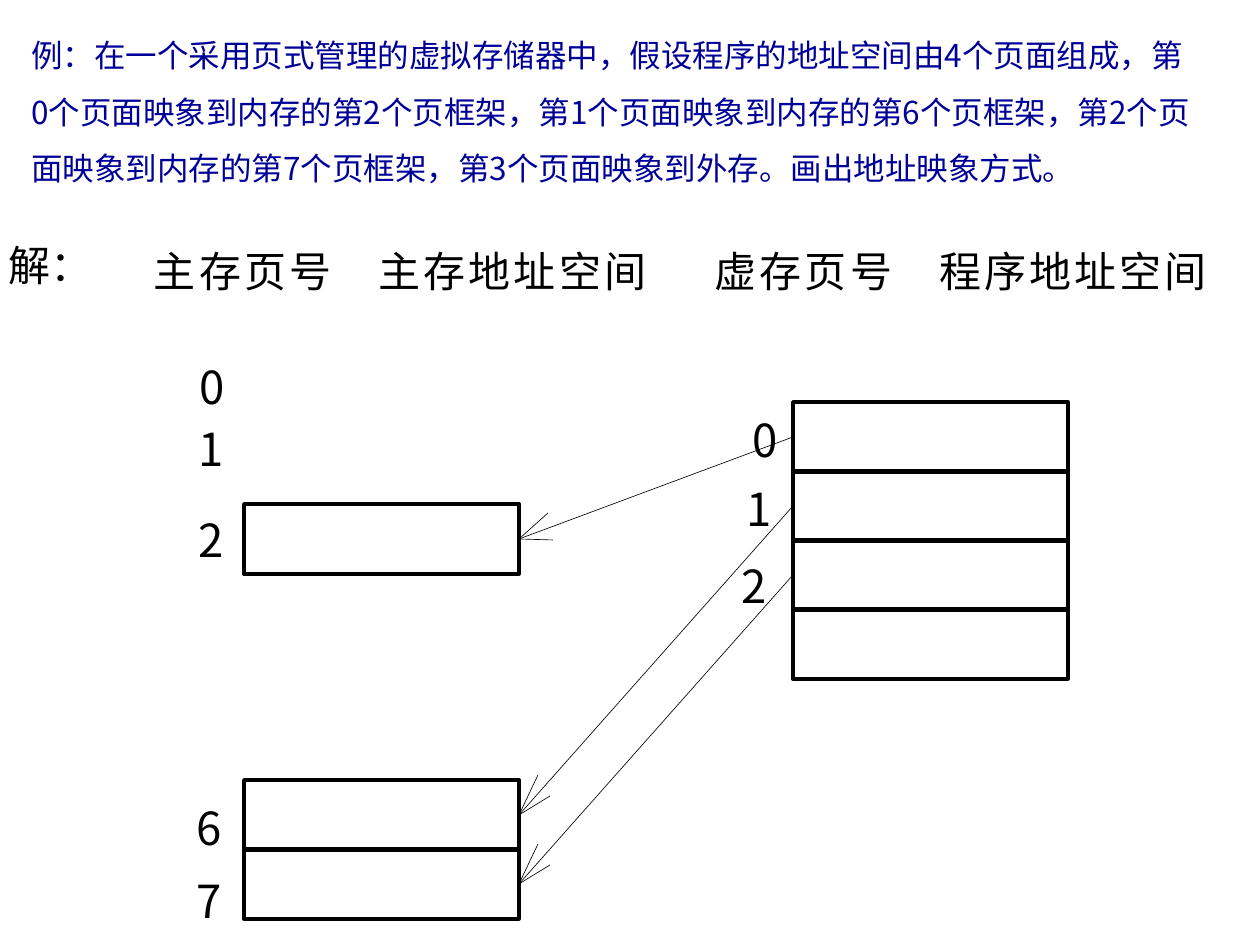
from lxml import etree
from pptx import Presentation
from pptx.dml.color import RGBColor
from pptx.enum.shapes import MSO_CONNECTOR, MSO_SHAPE
from pptx.enum.text import MSO_AUTO_SIZE
from pptx.oxml.ns import qn
from pptx.util import Emu, Pt

PX = 914400 // 126
FONT = "Noto Sans CJK SC"
BLACK = RGBColor(0x00, 0x00, 0x00)
DIGIT = RGBColor(0x01, 0x00, 0x00)
BLUE = RGBColor(0x00, 0x00, 0x99)
RECTANGLE = MSO_SHAPE.RECTANGLE
STRAIGHT = MSO_CONNECTOR.STRAIGHT
GROW = MSO_AUTO_SIZE.SHAPE_TO_FIT_TEXT

PAGE_WIDTH, PAGE_HEIGHT, PAGE_STEP = 275, 70, 69
MEMORY_LEFT, PROGRAM_LEFT = 244, 793
PROGRAM_TOP = 402
FRAME_TOPS = {2: 504, 6: 780, 7: 849}
CHARACTER_STEP = 45

PROBLEM = (
    "例：在一个采用页式管理的虚拟存储器中，假设程序的地址空间由4个页面组成，"
    "第0个页面映象到内存的第2个页框架，第1个页面映象到内存的第6个页框架，"
    "第2个页面映象到内存的第7个页框架，第3个页面映象到外存。画出地址映象方式。"
)
HEADINGS = [(154, "主存页号"), (379, "主存地址空间"), (715, "虚存页号"), (940, "程序地址空间")]
NUMBERS = [
    ("0", 200, 359), ("1", 199, 421), ("2", 199, 512), ("6", 197, 800), ("7", 197, 873),
    ("0", 753, 412), ("1", 747, 481), ("2", 742, 558),
]
STEEP_HEAD = [(31, -19), (19, -40)]
FLAT_HEAD = [(34, 1), (29, -26)]
MAPPINGS = [(0, 2, FLAT_HEAD), (1, 6, STEEP_HEAD), (2, 7, STEEP_HEAD)]


class Sketch:
    def __init__(self, slide):
        self.shapes = slide.shapes

    def text(self, words, left, top, width, height, size, color, wrap=False, spacing=None):
        box = self.shapes.add_textbox(*(Emu(v * PX) for v in (left, top, width, height)))
        frame = box.text_frame
        frame.word_wrap = wrap
        frame.auto_size = GROW
        if not wrap:
            frame.margin_left = frame.margin_right = 0
            frame.margin_top = frame.margin_bottom = 0
        para = frame.paragraphs[0]
        if spacing:
            para.line_spacing = spacing
        span = para.add_run()
        span.text = words
        span.font.size = Pt(size)
        span.font.name = FONT
        span.font.color.rgb = color
        etree.SubElement(span.font._element, qn("a:ea"), typeface=FONT)

    def page(self, left, top):
        box = self.shapes.add_shape(
            RECTANGLE, *(Emu(v * PX) for v in (left, top, PAGE_WIDTH, PAGE_HEIGHT))
        )
        box.shadow.inherit = False
        box.fill.background()
        box.line.color.rgb = BLACK
        box.line.width = Pt(2)

    def line(self, start, end):
        line = self.shapes.add_connector(STRAIGHT, *(Emu(v * PX) for v in (*start, *end)))
        line.line.color.rgb = BLACK
        line.line.width = Pt(0.38)
        etree.SubElement(line._element.spPr, qn("a:effectLst"))

    def arrow(self, start, tip, head):
        self.line(start, tip)
        for across, down in head:
            self.line(tip, (tip[0] + across, tip[1] + down))


def main():
    deck = Presentation()
    deck.slide_width, deck.slide_height = Emu(1260 * PX), Emu(945 * PX)
    sketch = Sketch(deck.slides.add_slide(deck.slide_layouts[6]))

    for left, heading in HEADINGS:
        for index, character in enumerate(heading):
            sketch.text(character, left + index * CHARACTER_STEP, 246, 43, 50, 24, BLACK)

    for top in FRAME_TOPS.values():
        sketch.page(MEMORY_LEFT, top)
    for row in range(4):
        sketch.page(PROGRAM_LEFT, PROGRAM_TOP + row * PAGE_STEP)

    for row, frame, head in MAPPINGS:
        start = (PROGRAM_LEFT, PROGRAM_TOP + row * PAGE_STEP + PAGE_HEIGHT // 2)
        tip = (MEMORY_LEFT + PAGE_WIDTH, FRAME_TOPS[frame] + PAGE_HEIGHT // 2)
        sketch.arrow(start, tip, head)

    for number, left, top in NUMBERS:
        sketch.text(number, left, top, 26, 55, 26, DIGIT)

    sketch.text("解：", -4, 233, 88, 63, 24, BLACK, wrap=True)
    sketch.text(PROBLEM, 19, 11, 1188, 178, 18, BLUE, wrap=True, spacing=1.5)
    deck.save("out.pptx")


if __name__ == "__main__":
    main()
